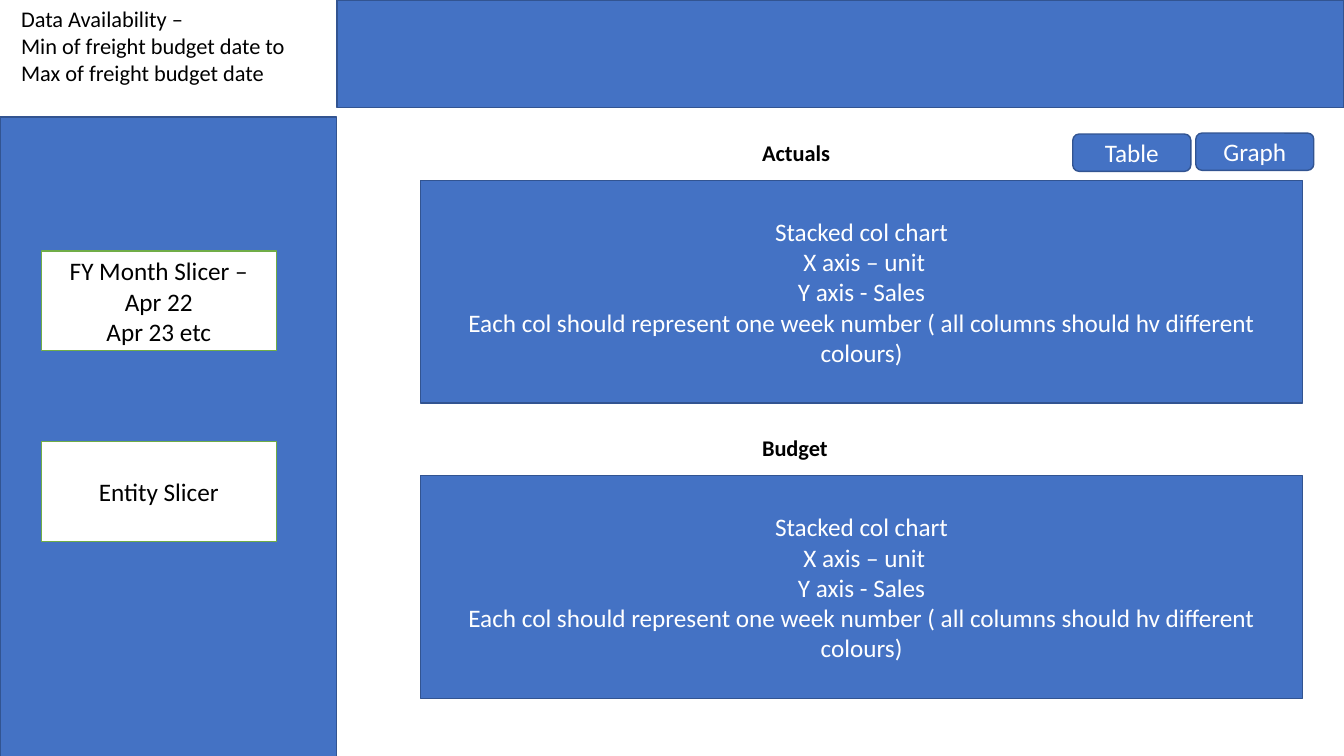
import pptx
import pptx.util
import pptx.dml.color
import pptx.enum.shapes
import pptx.enum.text

WIDTH = pptx.util.Inches(13.33)
HEIGHT = pptx.util.Inches(7.5)
FONT = "Calibri"
COLORS = {
    "blue": "4472C4",
    "navy": "325491",
    "green": "70AD47",
    "white": "FFFFFF",
    "black": "000000",
}
RECT = pptx.enum.shapes.MSO_SHAPE.RECTANGLE
ROUND = pptx.enum.shapes.MSO_SHAPE.ROUNDED_RECTANGLE
ALIGN = pptx.enum.text.PP_ALIGN
ANCHOR = pptx.enum.text.MSO_ANCHOR

CHART = [
    "Stacked col chart",
    " X axis – unit",
    "Y axis - Sales",
    "Each col should represent one week number "
    "( all columns should hv different colours)",
]
RANGE = ["Data Availability –", "Min of freight budget date to Max of freight budget date"]
SLICERS = [["FY Month Slicer – Apr 22", "Apr 23 etc"], ["Entity Slicer"]]


def color(name):
    return pptx.dml.color.RGBColor.from_string(COLORS[name])


def place(left, top, width, height):
    """Turn percentages of the slide into lengths."""
    return (
        round(WIDTH * left / 100),
        round(HEIGHT * top / 100),
        round(WIDTH * width / 100),
        round(HEIGHT * height / 100),
    )


def write(frame, lines, size, ink, align, bold=False):
    frame.word_wrap = True
    for i, line in enumerate(lines):
        para = frame.paragraphs[0] if i == 0 else frame.add_paragraph()
        para.alignment = align
        run = para.add_run()
        run.text = line
        run.font.name = FONT
        run.font.size = pptx.util.Pt(size)
        run.font.bold = bold
        run.font.color.rgb = color(ink)


def add_box(slide, area, lines=(), kind=RECT, fill="blue", edge="navy", ink="white"):
    box = slide.shapes.add_shape(kind, *place(*area))
    box.shadow.inherit = False
    box.fill.solid()
    box.fill.fore_color.rgb = color(fill)
    box.line.color.rgb = color(edge)
    box.line.width = pptx.util.Pt(1)
    box.text_frame.vertical_anchor = ANCHOR.MIDDLE
    write(box.text_frame, lines, 18, ink, ALIGN.CENTER)


def add_label(slide, area, lines, bold=False):
    label = slide.shapes.add_textbox(*place(*area))
    write(label.text_frame, lines, 16, "black", ALIGN.LEFT, bold)


def add_slicer(slide, row, lines):
    area = (3.08, 33.2 + 25.2 * row, 17.48, 13.2)
    add_box(slide, area, lines, fill="white", edge="green", ink="black")


def add_panel(slide, row, title):
    """Add a chart area with its title above."""
    shift = 39.07 * row
    add_box(slide, (31.28, 23.87 + shift, 65.64, 29.47), CHART)
    add_label(slide, (55.96, 17.73 + shift, 21.83, 4.93), [title], bold=True)


def main():
    deck = pptx.Presentation()
    deck.slide_width, deck.slide_height = WIDTH, HEIGHT
    slide = deck.slides.add_slide(deck.slide_layouts[6])

    add_box(slide, (0, 15.47, 25.06, 85.73))
    add_box(slide, (25.06, 0, 74.94, 14.27))
    add_label(slide, (0.83, 0, 21.83, 12.13), RANGE)
    for row, lines in enumerate(SLICERS):
        add_slicer(slide, row, lines)
    for row, title in enumerate(["Actuals", "Budget"]):
        add_panel(slide, row, title)
    for left, top, name in [(79.82, 17.73, "Table"), (88.97, 17.6, "Graph")]:
        add_box(slide, (left, top, 8.78, 4.93), [name], kind=ROUND)

    deck.save("out.pptx")


if __name__ == "__main__":
    main()
